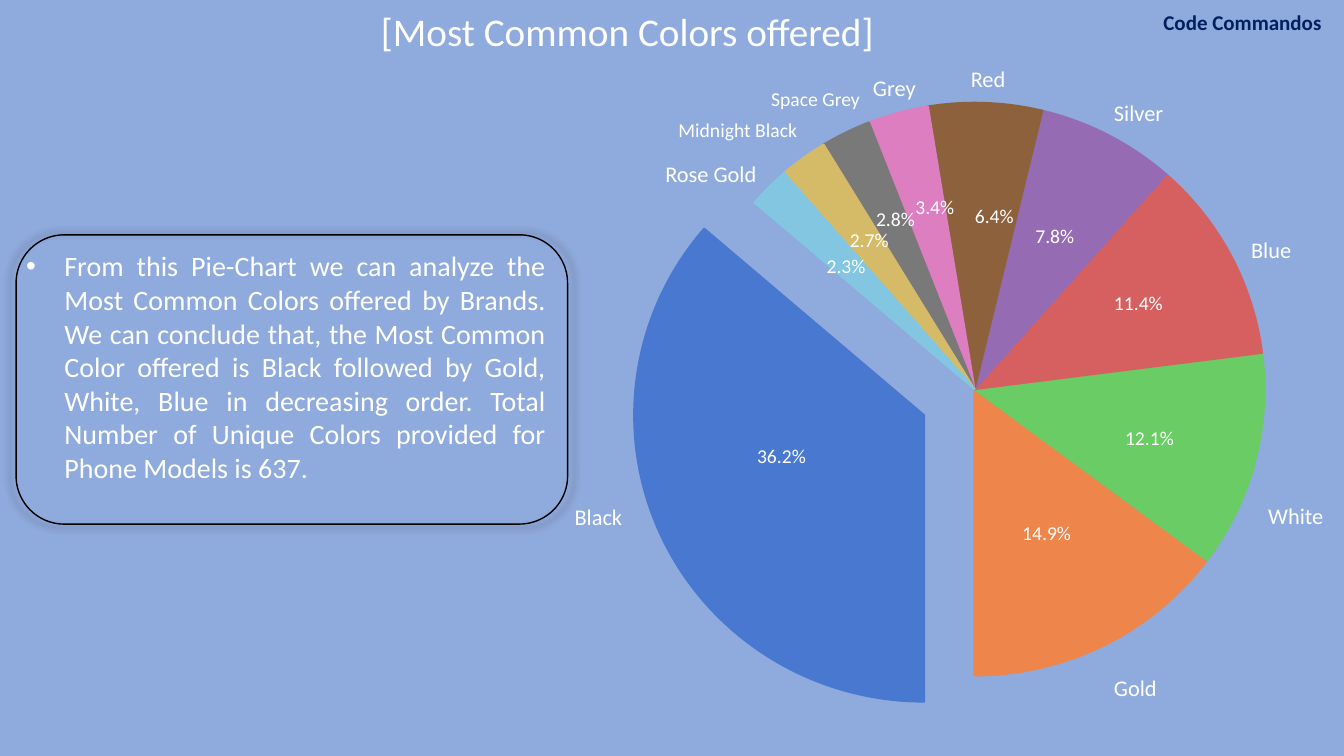
from dataclasses import dataclass

from lxml import etree
from pptx import Presentation
from pptx.dml.color import RGBColor
from pptx.enum.shapes import MSO_SHAPE
from pptx.enum.text import MSO_AUTO_SIZE, PP_ALIGN
from pptx.oxml.ns import qn
from pptx.slide import Slide
from pptx.text.text import _Paragraph
from pptx.util import Inches, Pt

PIE = MSO_SHAPE.PIE
ROUNDED = MSO_SHAPE.ROUNDED_RECTANGLE
FIT_SHAPE = MSO_AUTO_SIZE.SHAPE_TO_FIT_TEXT
LEFT, JUSTIFY = PP_ALIGN.LEFT, PP_ALIGN.JUSTIFY

COLORS = {
    "background": "8FAADC",
    "text": "FFFFFF",
    "team": "002060",
    "frame": "000000",
    "Black": "4878D0",
    "Gold": "EE854A",
    "White": "6ACC64",
    "Blue": "D65F5F",
    "Silver": "956CB4",
    "Red": "8C613C",
    "Grey": "DC7EC0",
    "Space Grey": "797979",
    "Midnight Black": "D5BB67",
    "Rose Gold": "82C6E2",
}
FONT = "Calibri"
FULL_TURN = 216.0  # pie adjustment units in 360 degrees
START = 54.0  # straight down
PIE_SIZE = (5.75, 5.68)
PIE_CENTER = (6.79, 1.02)
PIE_EXPLODED = (6.29, 1.28)
ANALYSIS = (
    "From this Pie-Chart we can analyze the Most Common Colors offered by Brands. "
    "We can conclude that, the Most Common Color offered is Black followed by Gold, "
    "White, Blue in decreasing order. Total Number of Unique Colors provided for "
    "Phone Models is 637."
)


@dataclass(frozen=True)
class Slice:
    name: str
    share: float
    share_at: tuple[float, float]
    name_at: tuple[float, float]
    name_width: float = 1.22
    name_size: int = 16
    origin: tuple[float, float] = PIE_CENTER


# Counter-clockwise from straight down
SLICES = [
    Slice("Gold", 14.9, (10.04, 5.12), (10.95, 6.64)),
    Slice("White", 12.1, (11.06, 4.18), (12.48, 4.93)),
    Slice("Blue", 11.4, (10.95, 2.84), (12.31, 2.29)),
    Slice("Silver", 7.8, (10.17, 2.17), (10.95, 0.93)),
    Slice("Red", 6.4, (9.57, 1.97), (9.53, 0.6)),
    Slice("Grey", 3.4, (8.98, 1.88), (8.56, 0.69)),
    Slice("Space Grey", 2.8, (8.59, 2.0), (7.55, 0.81), 1.45, 14),
    Slice("Midnight Black", 2.7, (8.33, 2.21), (6.63, 1.12), 1.71, 14),
    Slice("Rose Gold", 2.3, (8.1, 2.47), (6.5, 1.54)),
    Slice("Black", 36.2, (7.41, 4.36), (5.6, 4.94), origin=PIE_EXPLODED),
]


def rgb(name: str) -> RGBColor:
    return RGBColor.from_string(COLORS[name])


def add_text(slide: Slide, text: str, at: tuple[float, float], width: float,
             height: float, *, size: int, color: str = "text", bold: bool = False,
             align: PP_ALIGN = LEFT) -> _Paragraph:
    box = slide.shapes.add_textbox(*map(Inches, (*at, width, height)))
    frame = box.text_frame
    frame.word_wrap = True
    frame.auto_size = FIT_SHAPE
    paragraph = frame.paragraphs[0]
    paragraph.alignment = align
    run = paragraph.add_run()
    run.text = text
    run.font.name = FONT
    run.font.size = Pt(size)
    run.font.bold = bold
    run.font.color.rgb = rgb(color)
    return paragraph


def add_bullet(paragraph: _Paragraph, indent: float) -> None:
    properties = paragraph._p.get_or_add_pPr()
    properties.set("marL", str(Inches(indent)))
    properties.set("indent", str(-Inches(indent)))
    etree.SubElement(properties, qn("a:buFont"), typeface="Arial")
    etree.SubElement(properties, qn("a:buChar"), char="•")


def add_slice(slide: Slide, part: Slice, begin: float, end: float) -> None:
    wedge = slide.shapes.add_shape(PIE, *map(Inches, (*part.origin, *PIE_SIZE)))
    wedge.adjustments[0] = begin % FULL_TURN
    wedge.adjustments[1] = end % FULL_TURN
    wedge.shadow.inherit = False
    wedge.fill.solid()
    wedge.fill.fore_color.rgb = rgb(part.name)
    wedge.line.color.rgb = rgb(part.name)
    wedge.line.width = Pt(1.5)


def add_pie(slide: Slide) -> None:
    """Draw the slices first, then the shares over them."""
    end = START
    for part in SLICES:
        begin = end - part.share / 100 * FULL_TURN
        add_slice(slide, part, begin, end)
        end = begin
    for part in SLICES:
        add_text(slide, f"{part.share}%", part.share_at, 0.89, 0.34, size=14)


def add_glowing_frame(slide: Slide) -> None:
    """Draw the unfilled rounded outline with a soft shadow all around it."""
    outline = slide.shapes.add_shape(ROUNDED, *map(Inches, (0.16, 2.33, 5.47, 2.87)))
    outline.fill.background()
    outline.line.color.rgb = rgb("frame")
    outline.line.width = Pt(1)
    outline.shadow.inherit = False
    effects = outline._element.spPr.find(qn("a:effectLst"))
    shadow = etree.SubElement(effects, qn("a:outerShdw"), blurRad=str(Pt(5)),
                              sx="102000", sy="102000", algn="ctr", rotWithShape="0")
    color = etree.SubElement(shadow, qn("a:srgbClr"), val=COLORS["frame"])
    etree.SubElement(color, qn("a:alpha"), val="40000")


def main() -> None:
    deck = Presentation()
    deck.slide_width, deck.slide_height = Inches(13.33), Inches(7.5)
    slide = deck.slides.add_slide(deck.slide_layouts[6])
    slide.background.fill.solid()
    slide.background.fill.fore_color.rgb = rgb("background")

    add_pie(slide)
    add_text(slide, "[Most Common Colors offered]", (3.68, 0.02), 5.75, 0.57, size=28)
    for part in SLICES:
        add_text(slide, part.name, part.name_at, part.name_width, 0.37,
                 size=part.name_size)
    analysis = add_text(slide, ANALYSIS, (0.16, 2.42), 5.35, 2.79, size=20, align=JUSTIFY)
    add_bullet(analysis, 0.38)
    add_glowing_frame(slide)
    add_text(slide, "Code Commandos", (11.44, 0.05), 2.09, 0.35, size=15,
             color="team", bold=True)
    deck.save("out.pptx")


if __name__ == "__main__":
    main()
